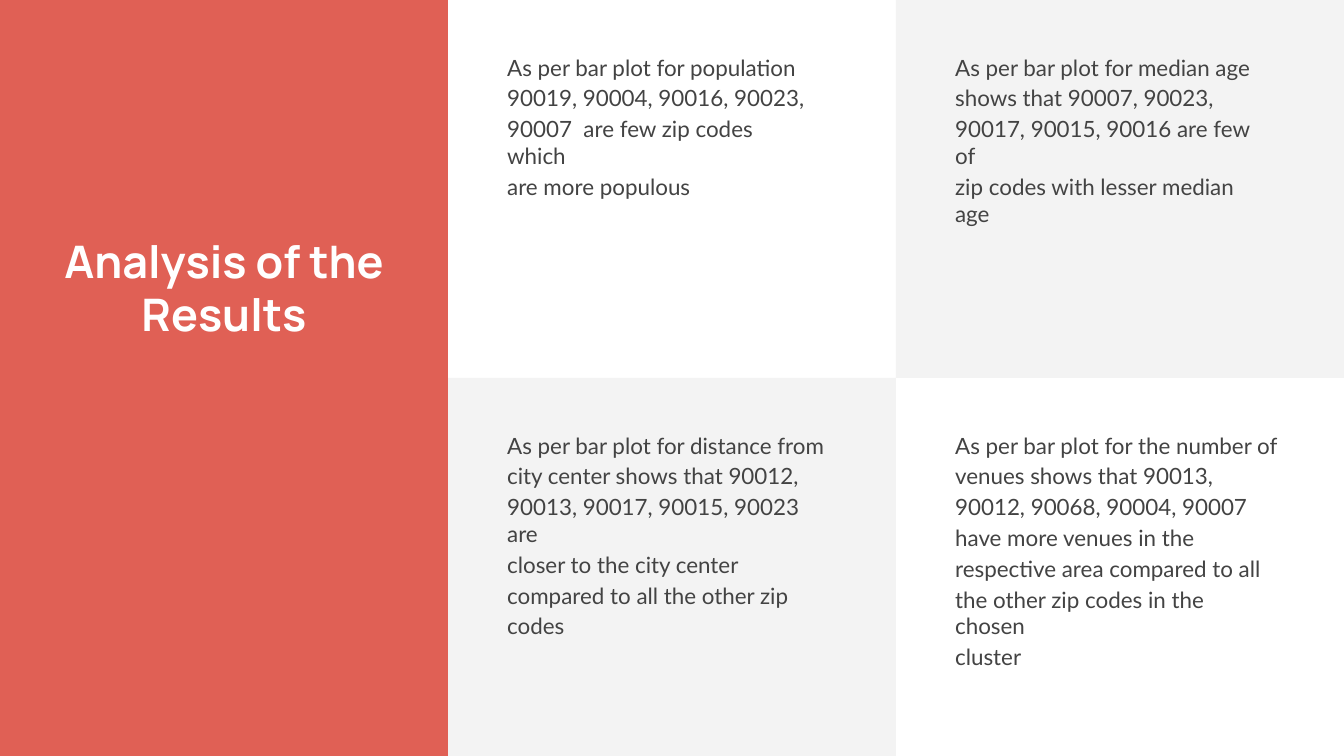
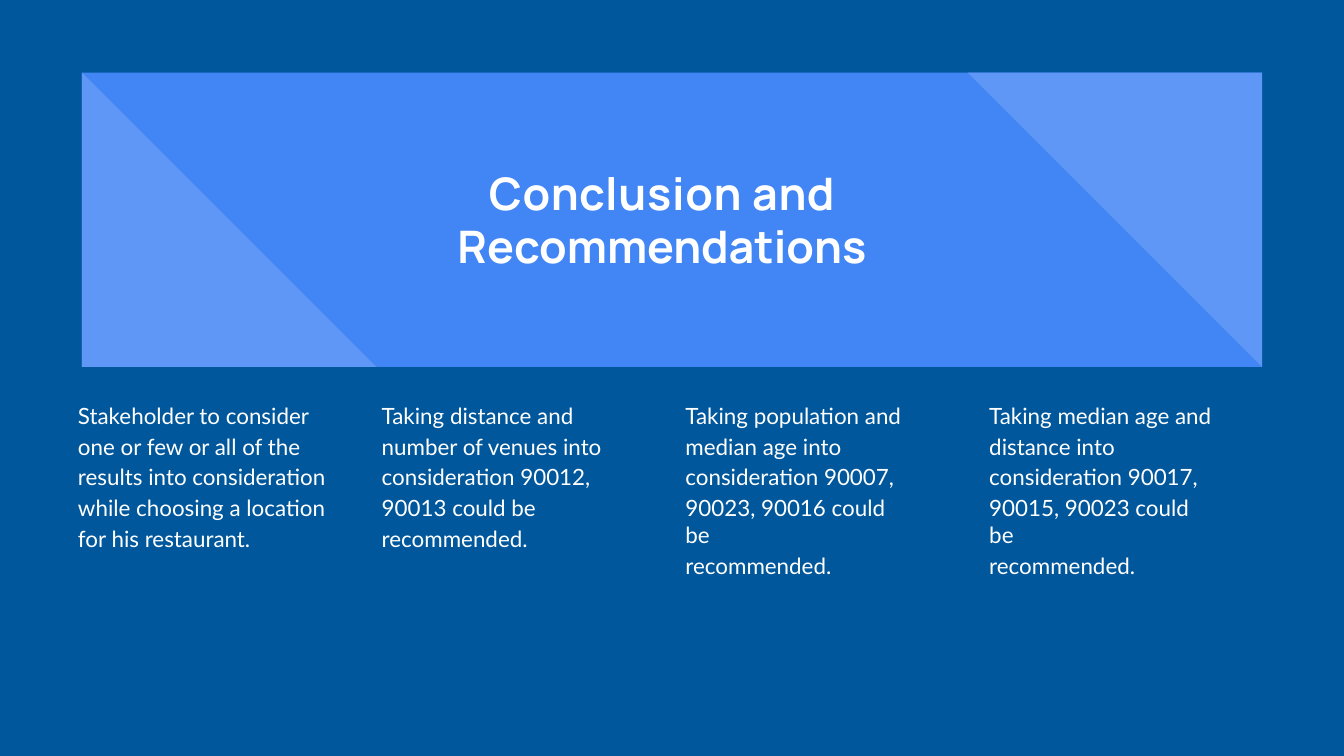
from pptx import Presentation
from pptx.dml.color import RGBColor
from pptx.enum.shapes import MSO_SHAPE
from pptx.enum.text import PP_ALIGN
from pptx.util import Inches, Pt

RECTANGLE = MSO_SHAPE.RECTANGLE
TRIANGLE = MSO_SHAPE.RIGHT_TRIANGLE
LEFT, CENTER = PP_ALIGN.LEFT, PP_ALIGN.CENTER

WHITE = RGBColor(0xFF, 0xFF, 0xFF)
GRAY_PANEL = RGBColor(0xF3, 0xF3, 0xF3)
INK = RGBColor(0x43, 0x43, 0x43)
CORAL = RGBColor(0xE0, 0x60, 0x55)
NAVY = RGBColor(0x01, 0x57, 0x9B)
BLUE = RGBColor(0x42, 0x85, 0xF4)
LIGHT_BLUE = RGBColor(0x5E, 0x97, 0xF6)

SLIDE_W, SLIDE_H = 10, 5.625
PANEL_W, PANEL_H = SLIDE_W / 3, SLIDE_H / 2
PANEL_MARGIN = (0.35, 0.31)
FINDING_SIZE = (2.62, 1.86)
BANNER = (0.61, 0.54, 8.78, 2.19)
ADVICE_LEFT, ADVICE_TOP, ADVICE_STEP = 0.49, 2.9, 2.26
ADVICE_SIZE = (2.09, 2.19)

BODY = dict(font="Lato", size=12, line=Pt(14.4), gap=2.1, insets=(0.09, 0.09, 0))
TITLE = dict(font="Manrope", size=24, line=0.98, gap=0.3, bold=True,
             color=WHITE, align=CENTER)

FINDINGS = [
    (0, 0, 0.28, ["As per bar plot for population",
                  "90019, 90004, 90016, 90023,",
                  "90007  are few zip codes which",
                  "are more populous"]),
    (1, 0, 0.2, ["As per bar plot for median age",
                 "shows that 90007, 90023,",
                 "90017, 90015, 90016 are few of",
                 "zip codes with lesser median age"]),
    (0, 1, 0.2, ["As per bar plot for distance from",
                 "city center shows that 90012,",
                 "90013, 90017, 90015, 90023 are",
                 "closer to the city center",
                 "compared to all the other zip",
                 "codes"]),
    (1, 1, 0.2, ["As per bar plot for the number of",
                 "venues shows that 90013,",
                 "90012, 90068, 90004, 90007",
                 "have more venues in the",
                 "respective area compared to all",
                 "the other zip codes in the chosen",
                 "cluster"]),
]

ADVICE = [
    (0, ["Stakeholder to consider", "one or few or all of the",
         "results into consideration", "while choosing a location",
         "for his restaurant."]),
    (0, ["Taking distance and", "number of venues into",
         "consideration 90012,", "90013 could be", "recommended."]),
    (0.4, ["Taking population and", "median age into",
           "consideration 90007,", "90023, 90016 could be", "recommended."]),
    (0.4, ["Taking median age and", "distance into",
           "consideration 90017,", "90015, 90023 could be", "recommended."]),
]


def add_text(slide, box, lines, *, font, size, color, line, gap, insets,
             bold=False, align=LEFT, right_indent=0, first_tracking=0):
    """Write one paragraph per line; the right indent applies after the first."""
    frame = slide.shapes.add_textbox(*map(Inches, box)).text_frame
    frame.word_wrap = True
    frame.margin_left, frame.margin_top, frame.margin_right = map(Inches, insets)
    frame.margin_bottom = 0
    for index, words in enumerate(lines):
        paragraph = frame.add_paragraph() if index else frame.paragraphs[0]
        paragraph.alignment = align
        paragraph.line_spacing = line
        run = paragraph.add_run()
        run.text = words
        run.font.name, run.font.size, run.font.bold = font, Pt(size), bold
        run.font.color.rgb = color
        if index:
            paragraph.space_before = Pt(gap)
            if right_indent:
                paragraph._p.get_or_add_pPr().set("marR", str(Inches(right_indent)))
        elif first_tracking:
            run._r.get_or_add_rPr().set("spc", str(round(first_tracking * 100)))


def add_fill(slide, box, color, preset=RECTANGLE, rotation=0):
    """Draw a flat filled shape without outline."""
    shape = slide.shapes.add_shape(preset, *map(Inches, box))
    shape.shadow.inherit = False
    shape.fill.solid()
    shape.fill.fore_color.rgb = color
    shape.line.fill.background()
    shape.rotation = rotation


def add_title_panel(slide, box):
    """Draw the coral side panel with its title."""
    left, top, width, height = box
    margin_x, margin_y = PANEL_MARGIN
    add_fill(slide, box, CORAL)
    add_text(slide, (left + margin_x, top + margin_y,
                     width - 2 * margin_x, height - 2 * margin_y),
             ["Analysis of the", "Results"], insets=(0, 2.11, 0), **TITLE)


def add_finding(slide, box, shaded, right_indent, lines):
    """Draw one finding, on gray if shaded."""
    if shaded:
        add_fill(slide, box, GRAY_PANEL)
    left, top = box[0] + PANEL_MARGIN[0], box[1] + PANEL_MARGIN[1]
    add_text(slide, (left, top, *FINDING_SIZE), lines, color=INK,
             right_indent=right_indent, **BODY)


def add_banner(slide, box):
    """Draw the title banner with a light triangle at each end."""
    left, top, width, height = box
    add_fill(slide, box, BLUE)
    add_fill(slide, (left, top, height, height), LIGHT_BLUE, TRIANGLE)
    add_fill(slide, (left + width - height, top, height, height),
             LIGHT_BLUE, TRIANGLE, rotation=180)
    add_text(slide, box, ["Conclusion and", "Recommendations"],
             insets=(0, 0.71, 0.15), first_tracking=0.4, **TITLE)


def build_analysis(slide):
    """Place the title panel and the checkerboard of findings."""
    add_title_panel(slide, (0, 0, PANEL_W, SLIDE_H))
    for column, row, right_indent, lines in FINDINGS:
        box = ((column + 1) * PANEL_W, row * PANEL_H, PANEL_W, PANEL_H)
        add_finding(slide, box, column != row, right_indent, lines)


def build_conclusion(slide):
    """Place the banner above four columns of advice."""
    add_fill(slide, (0, 0, SLIDE_W, SLIDE_H), NAVY)
    add_banner(slide, BANNER)
    for column, (right_indent, lines) in enumerate(ADVICE):
        box = (ADVICE_LEFT + column * ADVICE_STEP, ADVICE_TOP, *ADVICE_SIZE)
        add_text(slide, box, lines, color=WHITE, right_indent=right_indent, **BODY)


def main():
    """Build both slides and save the presentation."""
    deck = Presentation()
    deck.slide_width, deck.slide_height = Inches(SLIDE_W), Inches(SLIDE_H)
    blank = deck.slide_layouts[6]
    for build in (build_analysis, build_conclusion):
        build(deck.slides.add_slide(blank))
    deck.save("out.pptx")


if __name__ == "__main__":
    main()
